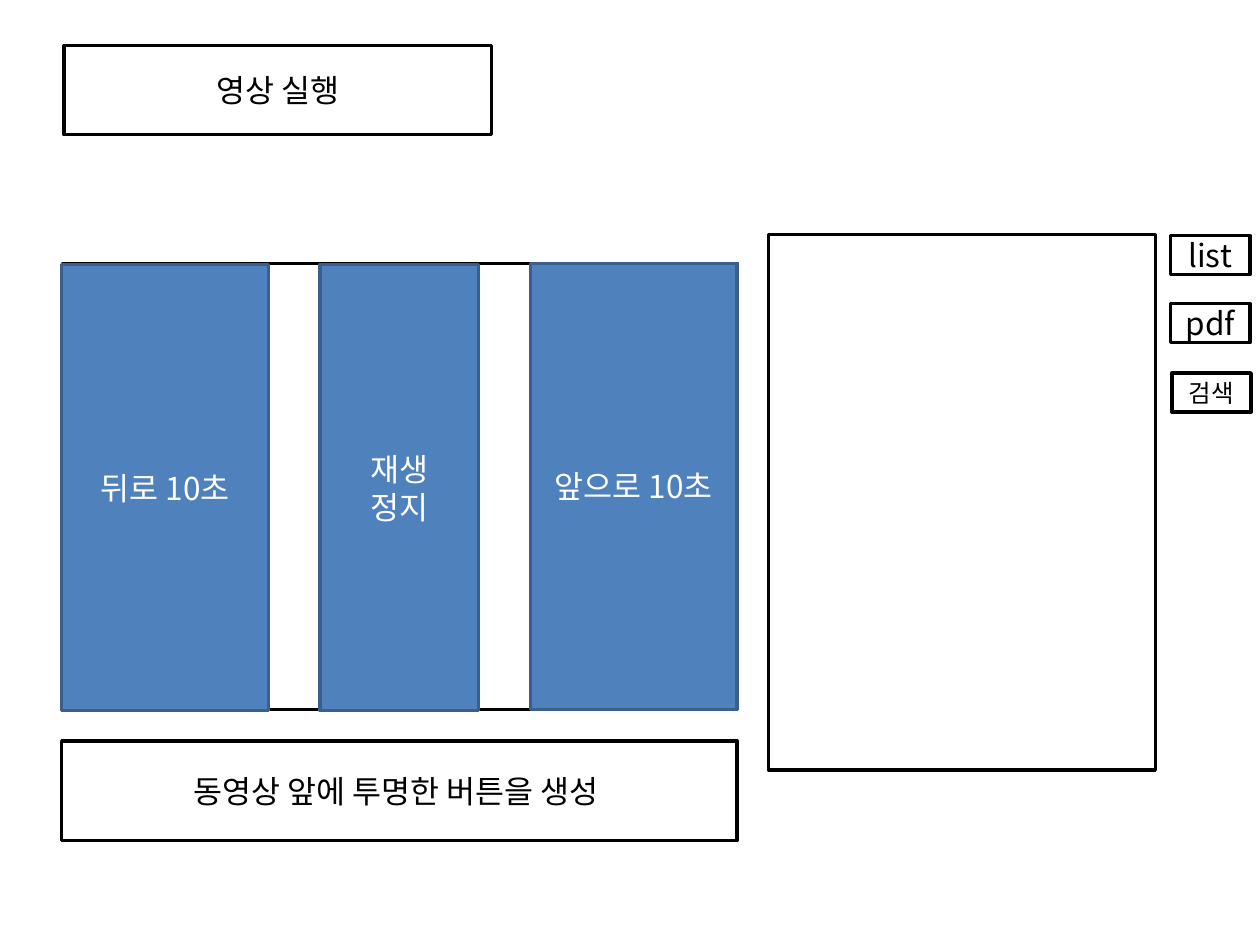
from pptx import Presentation
from pptx.dml.color import RGBColor
from pptx.enum.shapes import MSO_SHAPE
from pptx.enum.text import MSO_ANCHOR, PP_ALIGN
from pptx.oxml.ns import qn
from pptx.util import Inches, Pt
from lxml.etree import SubElement

BLACK, WHITE, BLUE, DARK_BLUE = "000000", "FFFFFF", "4F81BD", "3A5F8C"


def color(value):
    return RGBColor.from_string(value)


class Wireframe:
    font = "Noto Sans CJK KR"
    line_width = 2

    def __init__(self, deck):
        self.page = deck.slides.add_slide(deck.slide_layouts[6])

    def box(self, left, top, width, height, *lines, size=18,
            fill=WHITE, line=BLACK, ink=BLACK):
        box = self.page.shapes.add_shape(
            MSO_SHAPE.RECTANGLE, Inches(left), Inches(top), Inches(width), Inches(height))
        box.shadow.inherit = False
        box.fill.solid()
        box.fill.fore_color.rgb = color(fill)
        box.line.color.rgb = color(line)
        box.line.width = Pt(self.line_width)
        frame = box.text_frame
        frame.word_wrap = True
        frame.vertical_anchor = MSO_ANCHOR.MIDDLE
        frame.margin_left = frame.margin_right = Inches(0.05)
        for index, text in enumerate(lines):
            para = frame.add_paragraph() if index else frame.paragraphs[0]
            para.alignment = PP_ALIGN.CENTER
            self.span(para, text, size, ink)

    def span(self, para, text, size, ink):
        span = para.add_run()
        span.text = text
        span.font.size = Pt(size)
        span.font.name = self.font
        span.font.color.rgb = color(ink)
        # Korean glyphs take the East Asian typeface
        SubElement(span.font._element, qn("a:ea")).set("typeface", self.font)

    def control(self, left, top, width, *lines):
        self.box(left, top, width, 3.54, *lines, fill=BLUE, line=DARK_BLUE, ink=WHITE)


deck = Presentation()
deck.slide_width, deck.slide_height = Inches(10), Inches(7.5)
wireframe = Wireframe(deck)

# Heading, video area and side panel
wireframe.box(0.51, 0.36, 3.39, 0.71, "영상 실행")
wireframe.box(0.5, 2.09, 5.35, 3.54)
wireframe.box(6.1, 1.86, 3.07, 4.25)

# Side panel buttons
for left, top, label, size in ((9.29, 1.87, "list", 18),
                               (9.29, 2.41, "pdf", 18),
                               (9.3, 2.96, "검색", 14)):
    wireframe.box(left, top, 0.63, 0.31, label, size=size)

# Playback controls over the video
wireframe.control(2.54, 2.1, 1.26, "재생", "정지")
wireframe.control(4.21, 2.09, 1.64, "앞으로 10초")
wireframe.control(0.49, 2.1, 1.64, "뒤로 10초")

# Note below the video
wireframe.box(0.49, 5.88, 5.36, 0.79, "동영상 앞에 투명한 버튼을 생성 ")

deck.save("out.pptx")
